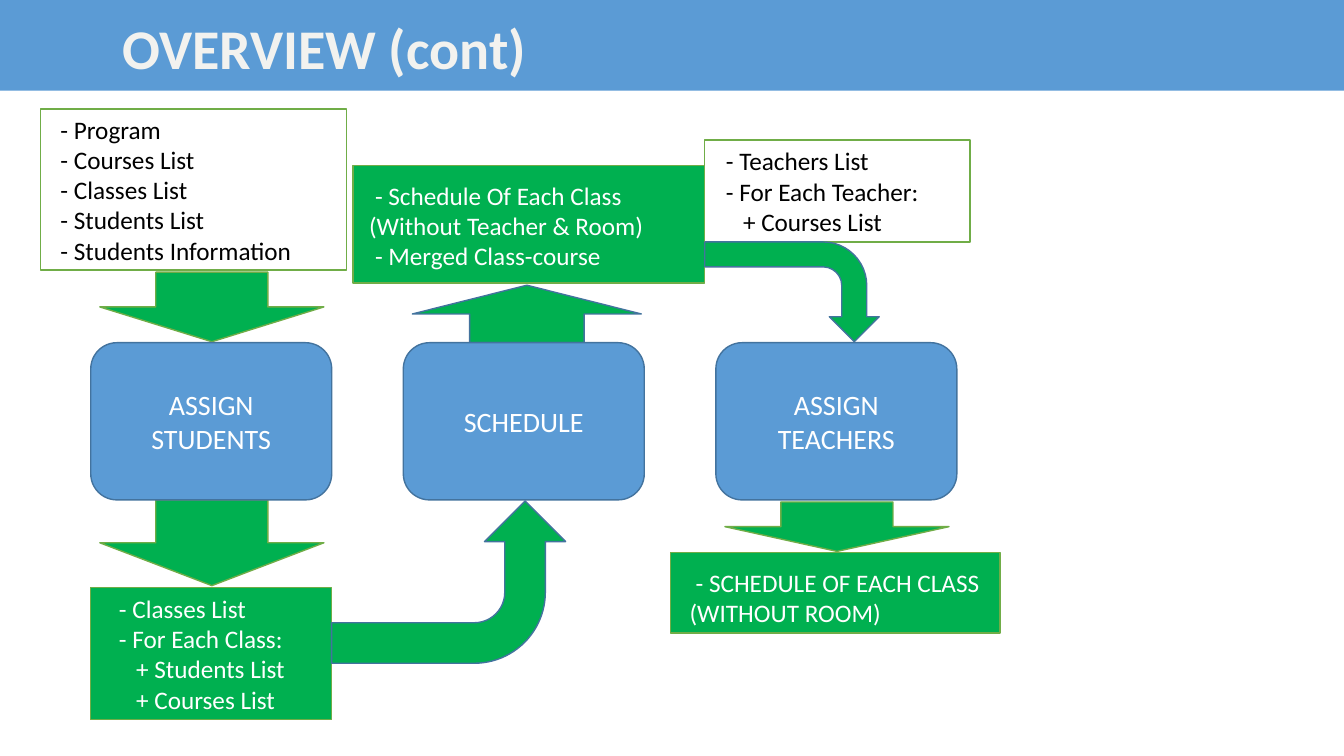
from pptx import Presentation
from pptx.dml.color import RGBColor
from pptx.enum.shapes import MSO_SHAPE
from pptx.enum.text import MSO_ANCHOR, PP_ALIGN
from pptx.util import Inches, Pt

RECT, ROUND = MSO_SHAPE.RECTANGLE, MSO_SHAPE.ROUNDED_RECTANGLE
DOWN, UP, BENT = MSO_SHAPE.DOWN_ARROW, MSO_SHAPE.UP_ARROW, MSO_SHAPE.BENT_ARROW
MIDDLE, LEFT, CENTER = MSO_ANCHOR.MIDDLE, PP_ALIGN.LEFT, PP_ALIGN.CENTER

BLUE = RGBColor(0x5B, 0x9B, 0xD5)
NAVY = RGBColor(0x43, 0x73, 0x9E)
GREEN = RGBColor(0x00, 0xB0, 0x50)
OLIVE = RGBColor(0x70, 0xAD, 0x47)
WHITE = RGBColor(0xFF, 0xFF, 0xFF)
BLACK = RGBColor(0, 0, 0)
CREAM = RGBColor(0xF2, 0xF2, 0xEF)

SLIDE_W, SLIDE_H = 13.33, 7.5
# Grid of process steps, in inches
COL_X, COL_PITCH, STEP_W = 0.9, 3.1, 2.39
STEP_Y, STEP_H = 3.4, 1.56
DASH, PLUS = 0.06, 0.23  # list indents


def add_shape(slide, kind, box, fill, line=None):
    sp = slide.shapes.add_shape(kind, *[Inches(v) for v in box])
    sp.shadow.inherit = False
    sp.fill.solid()
    sp.fill.fore_color.rgb = fill
    if line is None:
        sp.line.fill.background()
    else:
        sp.line.color.rgb = line
        sp.line.width = Pt(1)
    return sp


def write(sp, lines, size, color, align=LEFT, inset=0.1, top=0.0, bold=False):
    """Fill a shape with (indent, text) lines."""
    tf = sp.text_frame
    tf.word_wrap = True
    tf.vertical_anchor = MIDDLE
    tf.margin_left = Inches(inset)
    tf.margin_right = Inches(inset if align == CENTER else 0)
    tf.margin_top, tf.margin_bottom = Inches(top), 0
    for i, (indent, text) in enumerate(lines):
        p = tf.paragraphs[0] if i == 0 else tf.add_paragraph()
        p.alignment = align
        if indent:
            p._p.get_or_add_pPr().set("marL", str(Inches(indent)))
            p._p.get_or_add_pPr().set("indent", "0")
        r = p.add_run()
        r.text = text
        r.font.name, r.font.size, r.font.bold = "Calibri", Pt(size), bold
        r.font.color.rgb = color


def header(slide, box, title):
    bar = add_shape(slide, RECT, box, BLUE)
    write(bar, [(0, title)], 40, CREAM, inset=box[2] * 0.091, top=0.04, bold=True)


def data_box(slide, box, lines, inset, is_input=False, top=0.0):
    sp = add_shape(slide, RECT, box, WHITE if is_input else GREEN, OLIVE)
    write(sp, lines, 18, BLACK if is_input else WHITE, inset=inset, top=top)


def step(slide, box, label, arrows):
    """Process step with (kind, gap to the step's top, height, line) arrows."""
    x, y, w, h = box
    for kind, dy, height, line in arrows:
        width = w * (0.95 if kind == UP else 0.93)
        add_shape(slide, kind, (x + 0.09, y + dy, width, height), GREEN, line)
    sp = add_shape(slide, ROUND, box, BLUE, NAVY)
    write(sp, [(0, label)], 20, WHITE, CENTER)


def bent_arrow(slide, box, flip=False):
    """Quarter-turned arrow that covers the given box."""
    x, y, w, h = box
    sp = add_shape(slide, BENT, (x + (w - h) / 2, y + (h - w) / 2, h, w), GREEN, NAVY)
    sp.rotation = 90
    if flip:
        sp._element.spPr.get_or_add_xfrm().set("flipH", "1")


def main():
    prs = Presentation()
    prs.slide_width, prs.slide_height = Inches(SLIDE_W), Inches(SLIDE_H)
    slide = prs.slides.add_slide(prs.slide_layouts[6])

    header(slide, (0, 0, SLIDE_W, SLIDE_H * 0.12), "OVERVIEW (cont)")

    # Inputs and results
    data_box(slide, (6.65, 5.48, 3.27, 0.8),
             [(DASH, "- SCHEDULE OF EACH CLASS"), (0, "(WITHOUT ROOM)")], 0.19, top=0.1)
    data_box(slide, (6.99, 1.39, 2.63, 1.01),
             [(DASH, "- Teachers List"), (DASH, "- For Each Teacher:"),
              (PLUS, "+ Courses List")], 0.15, is_input=True)
    data_box(slide, (3.5, 1.64, 3.49, 1.17),
             [(DASH, "- Schedule Of Each Class"), (0, "(Without Teacher & Room)"),
              (DASH, "- Merged Class-course")], 0.16, top=0.02)
    data_box(slide, (0.9, 5.83, 2.39, 1.31),
             [(DASH, "- Classes List"), (DASH, "- For Each Class:"),
              (PLUS, "+ Students List"), (PLUS, "+ Courses List")], 0.22)
    data_box(slide, (0.4, 1.08, 3.04, 1.6),
             [(DASH, f"- {name}") for name in
              ("Program", "Courses List", "Classes List", "Students List",
               "Students Information")], 0.14, is_input=True)

    # Process steps
    steps = [
        ("ASSIGN STUDENTS", [(DOWN, -0.7, 0.69, OLIVE), (DOWN, STEP_H, 0.85, OLIVE)]),
        ("SCHEDULE", [(UP, -0.57, 0.57, NAVY)]),
        ("ASSIGN TEACHERS", [(DOWN, STEP_H + 0.02, 0.49, OLIVE)]),
    ]
    for i, (label, arrows) in enumerate(steps):
        step(slide, (COL_X + i * COL_PITCH, STEP_Y, STEP_W, STEP_H), label, arrows)

    # Links between steps
    bent_arrow(slide, (6.99, 2.4, 1.73, 0.99))
    bent_arrow(slide, (3.29, 4.97, 2.32, 1.61), flip=True)

    prs.save("out.pptx")


if __name__ == "__main__":
    main()
